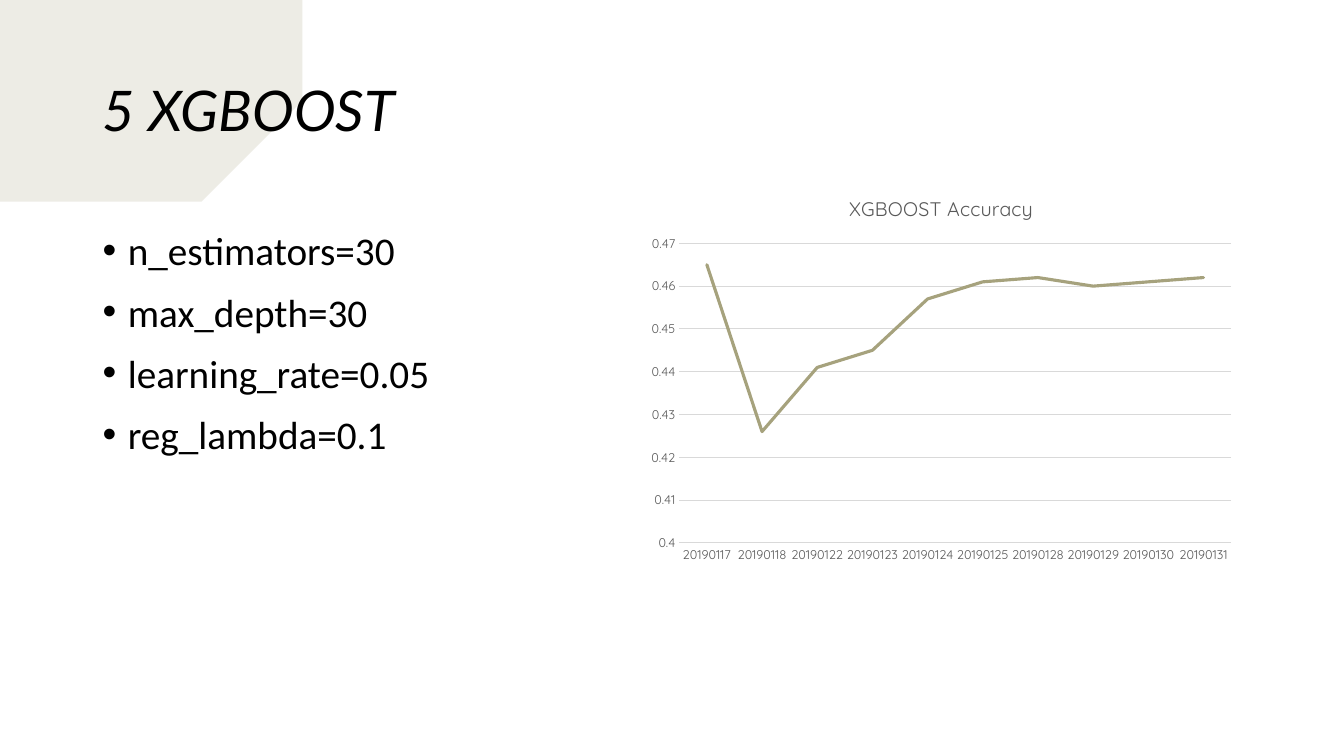
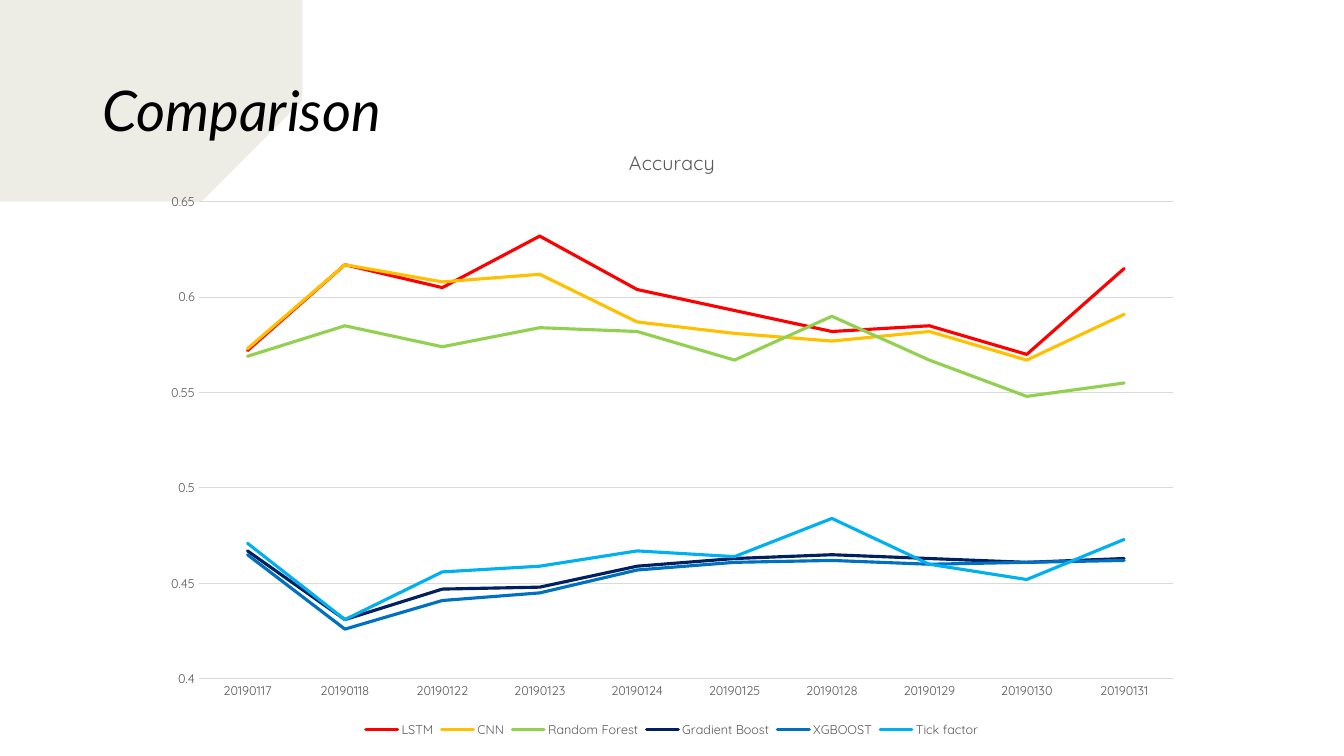
from lxml import etree
from pptx import Presentation
from pptx.chart.data import CategoryChartData
from pptx.dml.color import RGBColor
from pptx.enum import chart as ch, text
from pptx.oxml.ns import qn
from pptx.util import Inches, Pt

# Shared style
TITLE_FONT, BODY_FONT, CHART_FONT = "Lato", "Calibri", "Quicksand"
BLACK = RGBColor.from_string("000000")
GREY = RGBColor.from_string("595959")
RULE = RGBColor.from_string("D9D9D9")
OLIVE = RGBColor.from_string("A6A27D")
RED = RGBColor.from_string("FF0000")
AMBER = RGBColor.from_string("FFC000")
GREEN = RGBColor.from_string("92D050")
NAVY = RGBColor.from_string("002060")
BLUE = RGBColor.from_string("0070C0")
SKY = RGBColor.from_string("00B0F0")

# Content
PARAMETERS = ["n_estimators=30", "max_depth=30", "learning_rate=0.05", "reg_lambda=0.1"]
DATES = [f"201901{day}" for day in (17, 18, 22, 23, 24, 25, 28, 29, 30, 31)]
ACCURACY = {
    "LSTM": [0.572, 0.617, 0.605, 0.632, 0.604, 0.593, 0.582, 0.585, 0.57, 0.615],
    "CNN": [0.573, 0.617, 0.608, 0.612, 0.587, 0.581, 0.577, 0.582, 0.567, 0.591],
    "Random Forest": [0.569, 0.585, 0.574, 0.584, 0.582, 0.567, 0.59, 0.567, 0.548, 0.555],
    "Gradient Boost": [0.467, 0.431, 0.447, 0.448, 0.459, 0.463, 0.465, 0.463, 0.461, 0.463],
    "XGBOOST": [0.465, 0.426, 0.441, 0.445, 0.457, 0.461, 0.462, 0.46, 0.461, 0.462],
    "Tick factor": [0.471, 0.431, 0.456, 0.459, 0.467, 0.464, 0.484, 0.46, 0.452, 0.473],
}
MODEL_COLORS = dict(zip(ACCURACY, [RED, AMBER, GREEN, NAVY, BLUE, SKY]))

# Brush stroke outline in inches: top edge, ragged tip, bottom edge
BRUSH = [
    (0, 0.34), (0.25, 0.37), (0.66, 0.38), (1.4, 0.37), (1.94, 0.41), (2.68, 0.41),
    (2.8, 0.47), (2.55, 0.54), (2.62, 0.62), (2.4, 0.64), (2.4, 0.67), (2.75, 0.74),
    (2.51, 0.75), (2.73, 0.81), (2.88, 0.83), (2.87, 0.88), (2.63, 0.88), (3.3, 0.94),
    (3.18, 1.06), (3.07, 1.11), (2.83, 1.16), (2.74, 1.28), (3.08, 1.28), (2.69, 1.38),
    (2.73, 1.42), (2.52, 1.48), (2.63, 1.48), (1.97, 1.72), (1.02, 1.88), (0.65, 1.91),
    (0, 1.88),
]


def add_brush(slide):
    builder = slide.shapes.build_freeform(*BRUSH[0], scale=Inches(1))
    builder.add_line_segments(BRUSH[1:], close=True)
    brush = builder.convert_to_shape()
    brush.shadow.inherit = False
    brush.fill.solid()
    brush.fill.fore_color.rgb = OLIVE
    color = brush._element.spPr.find(".//" + qn("a:srgbClr"))
    etree.SubElement(color, qn("a:alpha"), val="20000")
    brush.line.fill.background()


def style_font(font, name, size, color):
    font.name, font.size, font.color.rgb = name, Pt(size), color


def add_text_frame(slide, left, top, width, height):
    frame = slide.shapes.add_textbox(*map(Inches, (left, top, width, height))).text_frame
    frame.word_wrap = True
    return frame


def add_titled_slide(prs, title):
    slide = prs.slides.add_slide(prs.slide_layouts[6])
    add_brush(slide)
    frame = add_text_frame(slide, 0.92, 0.4, 11.5, 1.45)
    frame.vertical_anchor = text.MSO_ANCHOR.MIDDLE
    heading = frame.paragraphs[0]
    heading.line_spacing = 0.9
    run = heading.add_run()
    run.text = title
    style_font(run.font, TITLE_FONT, 40, BLACK)
    run.font.italic = True
    return slide


def add_bullets(slide, items, box):
    frame = add_text_frame(slide, *box)
    for i, item in enumerate(items):
        para = frame.add_paragraph() if i else frame.paragraphs[0]
        para.space_before = Pt(10)
        props = para._p.get_or_add_pPr()
        props.set("marL", str(Inches(0.25)))
        props.set("indent", str(-Inches(0.25)))
        etree.SubElement(props, qn("a:buFont"), typeface="Arial")
        etree.SubElement(props, qn("a:buChar"), char="•")
        run = para.add_run()
        run.text = item
        style_font(run.font, BODY_FONT, 28, BLACK)


def add_accuracy_chart(slide, title, colors, box, axis_range, legend=False):
    """Draw one line for each model named in colors."""
    data = CategoryChartData()
    data.categories = DATES
    for model in colors:
        data.add_series(model, ACCURACY[model])
    chart = slide.shapes.add_chart(ch.XL_CHART_TYPE.LINE, *map(Inches, box), data).chart
    style_font(chart.font, CHART_FONT, 10, BLACK)

    chart.has_title = True
    run = chart.chart_title.text_frame.paragraphs[0].add_run()
    run.text = title
    style_font(run.font, CHART_FONT, 14, GREY)
    run.font.bold = False

    chart.has_legend = legend
    if legend:
        chart.legend.position = ch.XL_LEGEND_POSITION.BOTTOM
        chart.legend.include_in_layout = False
        style_font(chart.legend.font, CHART_FONT, 9, GREY)

    # Axes
    dates, scores = chart.category_axis, chart.value_axis
    for axis in (dates, scores):
        axis.major_tick_mark = axis.minor_tick_mark = ch.XL_TICK_MARK.NONE
        style_font(axis.tick_labels.font, CHART_FONT, 9, GREY)
    scores.minimum_scale, scores.maximum_scale, scores.major_unit = axis_range
    scores.has_major_gridlines = True
    scores.format.line.fill.background()
    for line in (dates.format.line, scores.major_gridlines.format.line):
        line.color.rgb, line.width = RULE, Pt(0.75)

    # Lines
    plot = chart.plots[0]
    plot.vary_by_categories = False
    for series, color in zip(plot.series, colors.values()):
        series.smooth = False
        series.marker.style = ch.XL_MARKER_STYLE.NONE
        line = series.format.line
        line.color.rgb, line.width = color, Pt(2.25)
        line._get_or_add_ln().set("cap", "rnd")


def main():
    prs = Presentation()
    prs.slide_width, prs.slide_height = Inches(13.33), Inches(7.5)

    slide = add_titled_slide(prs, "5 XGBOOST")
    add_bullets(slide, PARAMETERS, (0.92, 2.2, 6.34, 4.55))
    add_accuracy_chart(slide, "XGBOOST Accuracy", {"XGBOOST": OLIVE},
                       (6.34, 1.76, 5.99, 3.9), (0.4, 0.47, 0.01))

    slide = add_titled_slide(prs, "Comparison")
    add_accuracy_chart(slide, "Accuracy", MODEL_COLORS,
                       (1.49, 1.26, 10.35, 6.1), (0.4, 0.65, 0.05), legend=True)

    prs.save("out.pptx")


if __name__ == "__main__":
    main()
